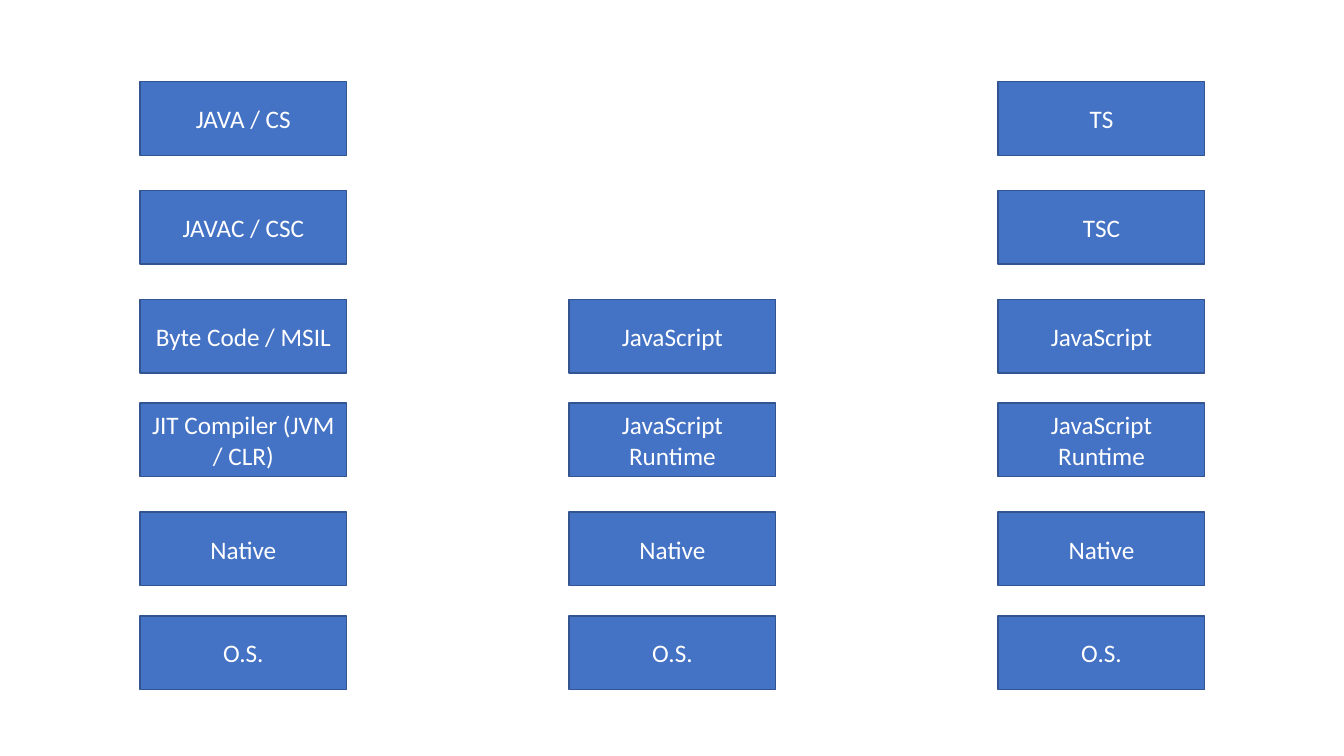
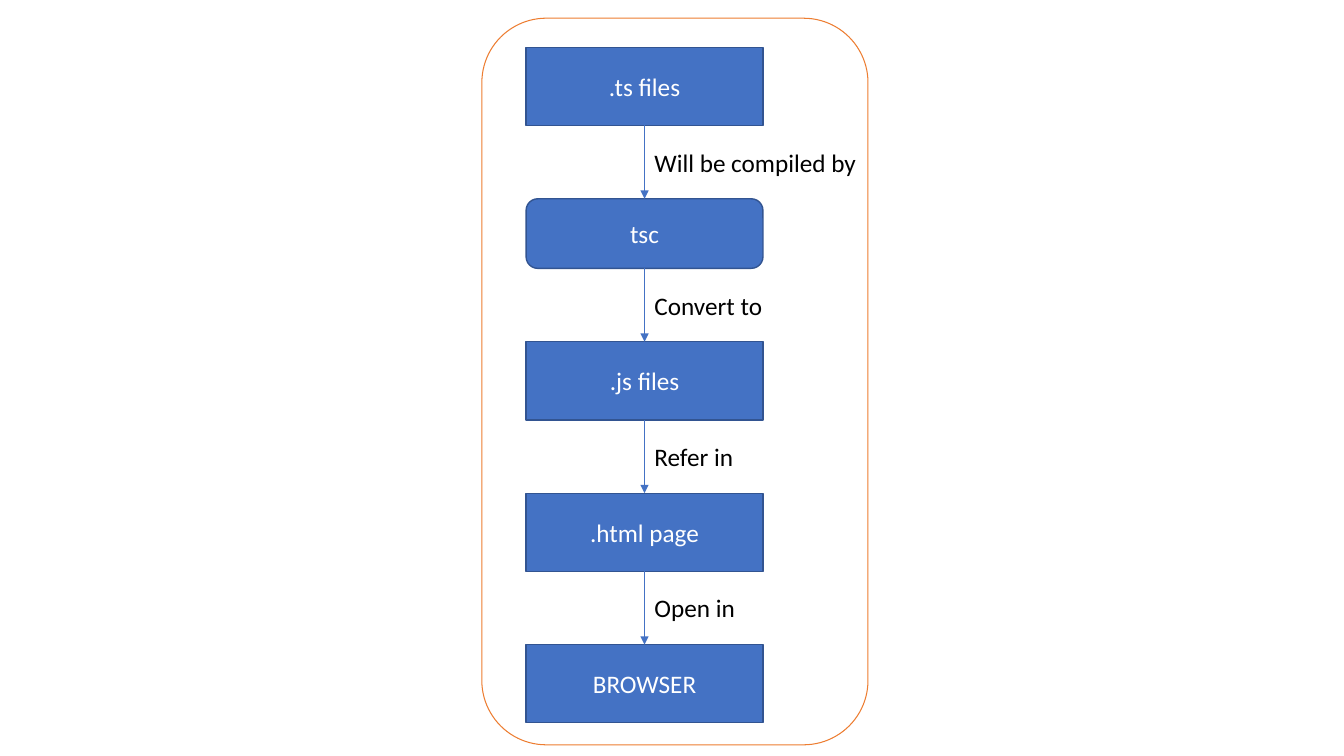
from pptx import Presentation
from pptx.dml.color import RGBColor as RGB
from pptx.enum.shapes import MSO_CONNECTOR as LINK, MSO_SHAPE as FORM
from pptx.enum.text import MSO_ANCHOR as ANCHOR, MSO_AUTO_SIZE as FIT, PP_ALIGN as ALIGN
from pptx.oxml.ns import qn
from pptx.util import Pt
from lxml.etree import SubElement as Sub

COLORS = {
    "fill": "4472C4",
    "edge": "325491",
    "frame": "ED7D31",
    "light": "FFFFFF",
    "dark": "000000",
}
FONT = "Calibri"
SIZE = 18

# Stacks: left edge, box size and the tops of the six levels
LEFT, STEP = 100, 306.5
BOX_W, BOX_H = 147.6, 52.6
TOPS = [58.3, 136.1, 213.8, 288, 365.8, 439.9]
STACKS = [
    ["JAVA / CS", "JAVAC / CSC", "Byte Code / MSIL",
     "JIT Compiler (JVM / CLR)", "Native", "O.S."],
    ["JavaScript", "JavaScript Runtime", "Native", "O.S."],
    ["TS", "TSC", "JavaScript", "JavaScript Runtime", "Native", "O.S."],
]

# Flow: text, form and height of each step, then label and its width
FLOW_X, FLOW_Y, FLOW_W = 375.8, 33.8, 169.2
GAP = 52.4
LABEL_H = 28.8
STEPS = [
    (".ts files", FORM.RECTANGLE, 55.8),
    ("tsc", FORM.ROUNDED_RECTANGLE, 49.7),
    (".js files", FORM.RECTANGLE, 55.8),
    (".html page", FORM.RECTANGLE, 55.8),
    ("BROWSER", FORM.RECTANGLE, 55.8),
]
LABELS = [
    ("Will be compiled by", 160.6),
    ("Convert to", 92.2),
    ("Refer in", 71.3),
    ("Open in", 72.7),
]


def color(name):
    return RGB.from_string(COLORS[name])


def write(shape, text, tone, align):
    para = shape.text_frame.paragraphs[0]
    para.alignment = align
    run = para.add_run()
    run.text = text
    run.font.name = FONT
    run.font.size = Pt(SIZE)
    run.font.color.rgb = color(tone)


def outline(shape, tone, width):
    shape.line.color.rgb = color(tone)
    shape.line.width = Pt(width)


def add_form(slide, form, x, y, w, h):
    shape = slide.shapes.add_shape(form, Pt(x), Pt(y), Pt(w), Pt(h))
    shape.shadow.inherit = False
    return shape


def add_box(slide, text, x, y, w, h, form=FORM.RECTANGLE):
    box = add_form(slide, form, x, y, w, h)
    box.fill.solid()
    box.fill.fore_color.rgb = color("fill")
    outline(box, "edge", 1)
    box.text_frame.word_wrap = True
    box.text_frame.vertical_anchor = ANCHOR.MIDDLE
    write(box, text, "light", ALIGN.CENTER)
    return box


def add_frame(slide, x, y, w, h):
    frame = add_form(slide, FORM.ROUNDED_RECTANGLE, x, y, w, h)
    frame.fill.background()
    outline(frame, "frame", 0.75)


def add_label(slide, text, x, y, w):
    label = slide.shapes.add_textbox(Pt(x), Pt(y), Pt(w), Pt(LABEL_H))
    label.text_frame.word_wrap = False
    label.text_frame.auto_size = FIT.SHAPE_TO_FIT_TEXT
    write(label, text, "dark", ALIGN.LEFT)


def add_arrow(slide, top, low):
    """Join the bottom of one box to the top of the next."""
    arrow = slide.shapes.add_connector(LINK.STRAIGHT, 0, 0, 0, 0)
    arrow.begin_connect(top, 2)
    arrow.end_connect(low, 0)
    outline(arrow, "fill", 0.5)
    Sub(arrow.line._get_or_add_ln(), qn("a:tailEnd"), type="triangle")
    Sub(arrow._element.spPr, qn("a:effectLst"))


def draw_stacks(slide):
    for col, texts in enumerate(STACKS):
        # Short stacks stand on the same base as the tall ones
        for text, y in zip(texts, TOPS[-len(texts):]):
            add_box(slide, text, LEFT + col * STEP, y, BOX_W, BOX_H)


def draw_flow(slide):
    boxes = []
    y = FLOW_Y
    for text, form, h in STEPS:
        boxes.append(add_box(slide, text, FLOW_X, y, FLOW_W, h, form))
        y += h + GAP
    for top, low, (text, w) in zip(boxes, boxes[1:], LABELS):
        add_arrow(slide, top, low)
        y = low.top.pt - (GAP + LABEL_H) / 2
        add_label(slide, text, FLOW_X + FLOW_W / 2, y, w)
    add_frame(slide, 344.2, 13, 275.8, 519)


def main():
    deck = Presentation()
    deck.slide_width, deck.slide_height = Pt(960), Pt(540)
    blank = deck.slide_layouts[6]
    for draw in (draw_stacks, draw_flow):
        draw(deck.slides.add_slide(blank))
    deck.save("out.pptx")


if __name__ == "__main__":
    main()
